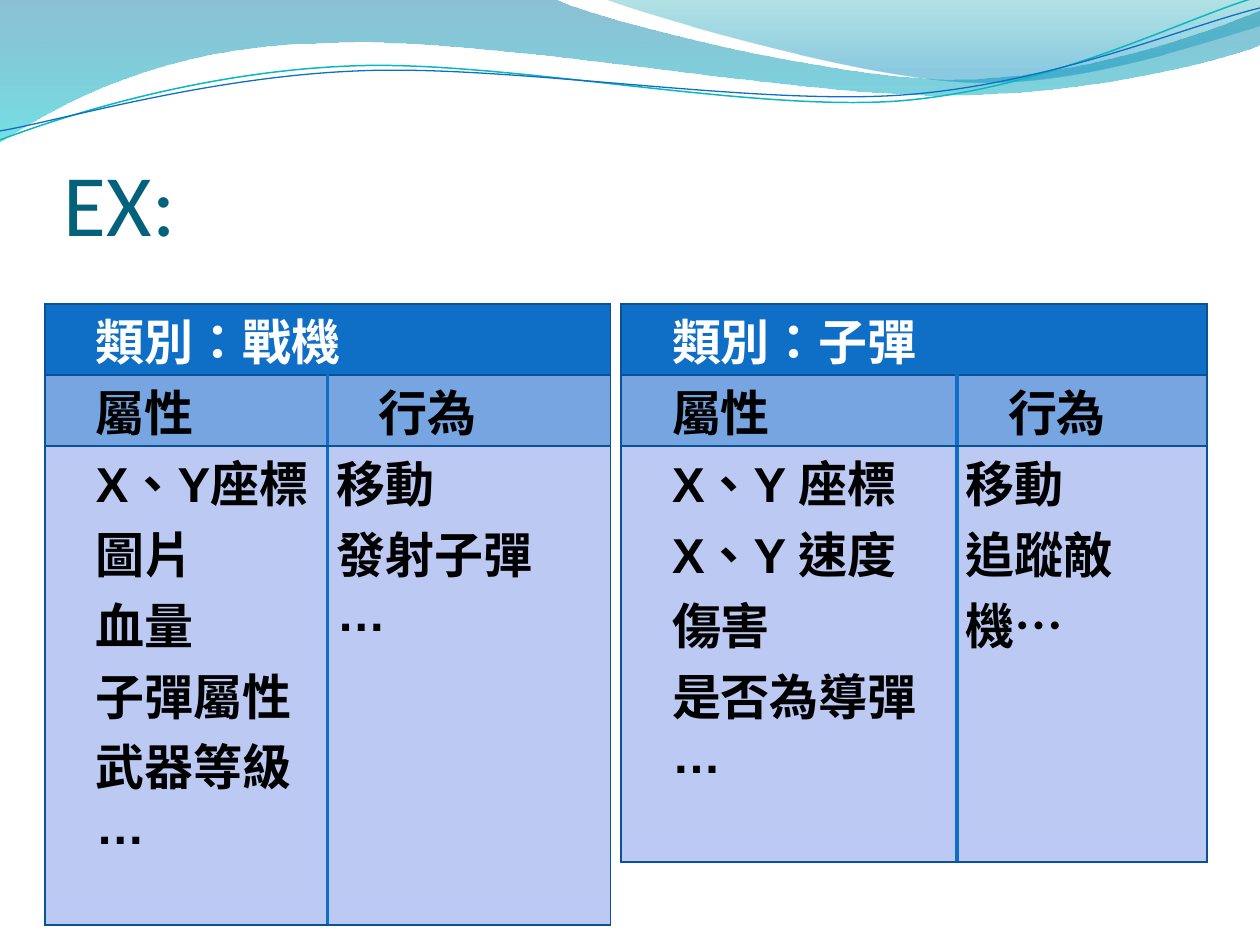
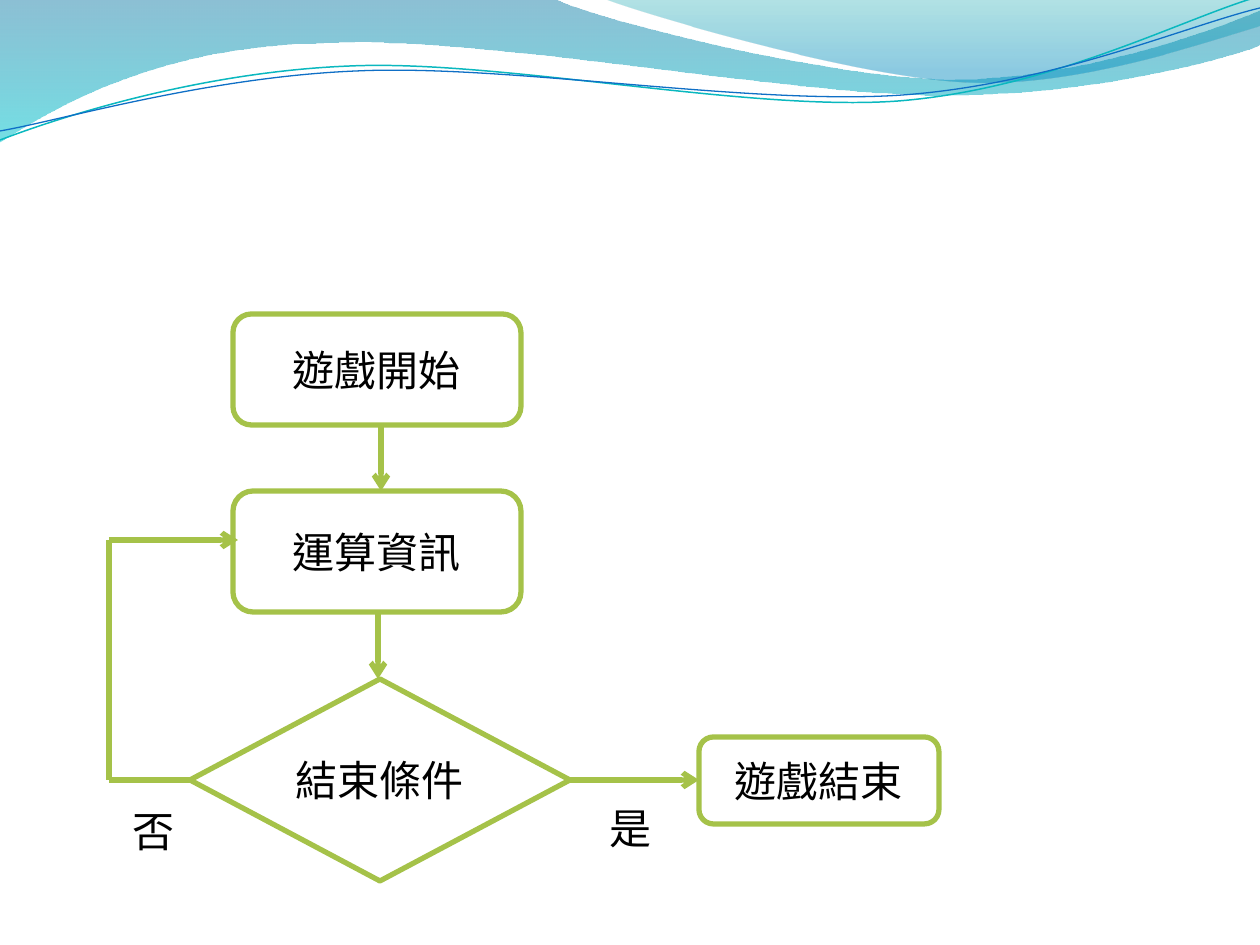
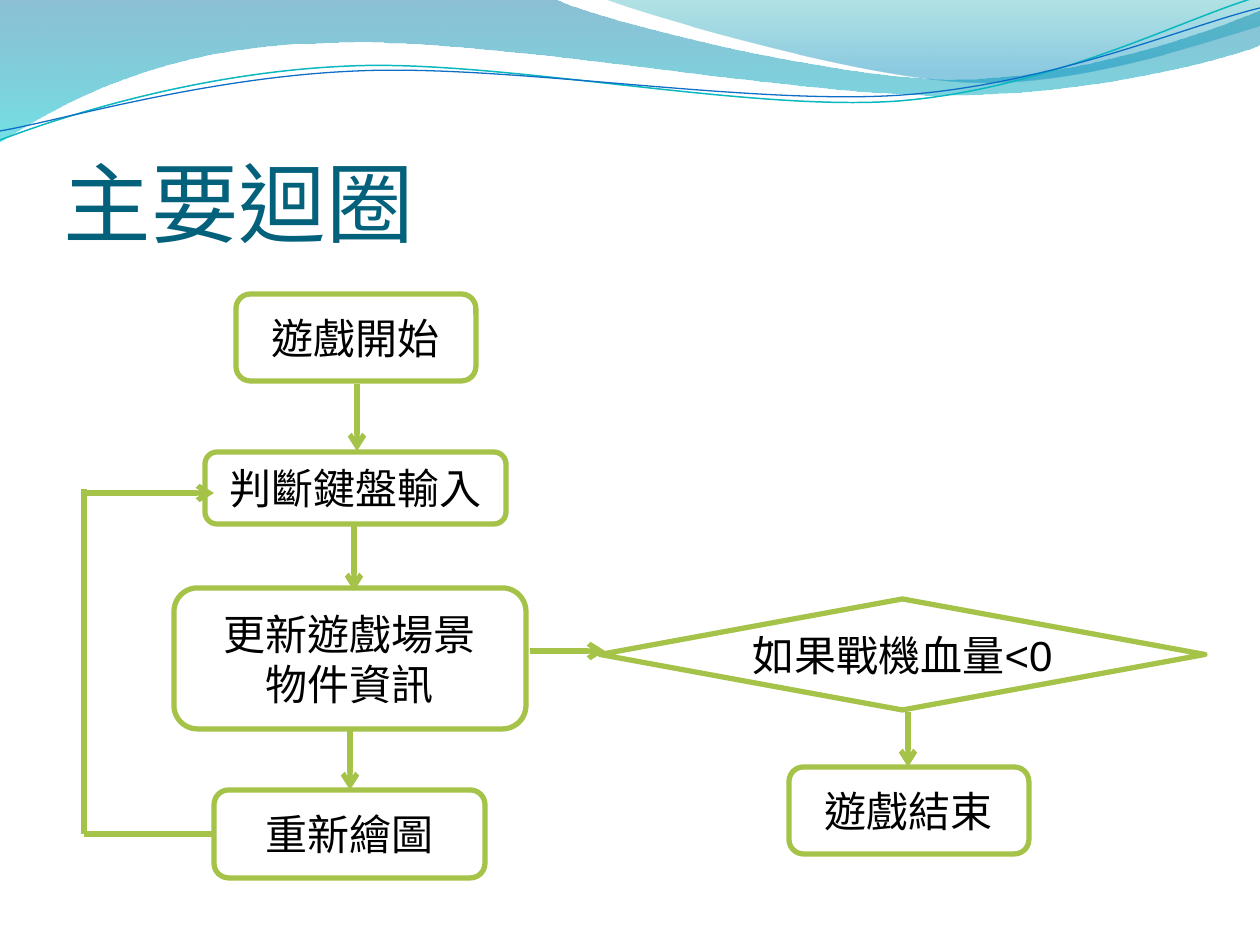
import pptx
import pptx.dml.color
import pptx.enum.dml
import pptx.enum.lang
import pptx.enum.shapes
import pptx.enum.text
import pptx.oxml
import pptx.oxml.ns
import pptx.util

WHITE, BLACK, TITLE = "FFFFFF", "000000", "04617B"
BLUE, BORDER, SUBHEAD, BODY = "0F6FC6", "095295", "76A5E1", "BBC9F3"
GREEN = "A5C249"
NS = pptx.oxml.ns.nsdecls("a")
qn = pptx.oxml.ns.qn
rgb = pptx.dml.color.RGBColor.from_string
SHAPE = pptx.enum.shapes.MSO_SHAPE
ALIGN = pptx.enum.text.PP_ALIGN
ANCHOR = pptx.enum.text.MSO_ANCHOR


def px(n):
    """Convert pixels, 126 to the inch, to EMU."""
    return round(n * 914400 / 126)


def format_text(tf, size, color, font="Arial", bold=False, align=ALIGN.LEFT):
    tf.word_wrap = True
    for p in tf.paragraphs:
        p.alignment = align
        for r in p.runs:
            r.font.size = pptx.util.Pt(size)
            r.font.name = font
            r.font.bold = bold
            r.font.color.rgb = rgb(color)
            r.font.language_id = pptx.enum.lang.MSO_LANGUAGE_ID.TRADITIONAL_CHINESE


prs = pptx.Presentation()
prs.slide_width, prs.slide_height = px(1260), px(945)
layout = prs.slide_layouts[6]
for ph in list(layout.placeholders):
    ph.element.getparent().remove(ph.element)
slides = [prs.slides.add_slide(layout) for _ in range(3)]

# Header waves: start point, then lines (2 numbers) and Bezier curves (6 numbers)
waves = [
    ([(0, 0), (554, -1), (600, 21, 837, 79, 955, 79), (1075, 79, 1207, 33, 1260, 11),
      (1261, 45), (1239, 55, 1096, 96, 940, 95), (784, 95, 481, 35, 324, 43),
      (163, 45, 58, 105, -1, 142)],
     [(0, "0074A1", 45), (1, "00C6CF", 55)], None),
    ([(604, -1), (641, 14, 859, 78, 969, 82), (1079, 87, 1211, 40, 1260, 26), (1260, 0)],
     [(0, "00A1A9", 30), (0.8, "008BBF", 45)], None),
    ([(0, 140), (60, 117, 199, 72, 349, 66), (498, 59, 747, 112, 898, 101),
      (1050, 89, 1182, 19, 1257, -3)], None, ("0AB8BF", 0.85)),
    ([(0, 131), (59, 121, 207, 77, 357, 71), (508, 64, 752, 106, 903, 95),
      (1053, 84, 1186, 26, 1260, 8)], None, (BLUE, 0.75)),
]
wave_shapes = []
for segments, gradient, stroke in waves:
    points = [(px(x), px(y)) for seg in segments for x, y in zip(seg[::2], seg[1::2])]
    fb = slides[0].shapes.build_freeform(*points[0])
    fb.add_line_segments(points[1:], close=gradient is not None)
    sp = fb.convert_to_shape()
    sp.shadow.inherit = False
    # Join the three points of each curve into one Bezier segment
    steps = iter(list(sp.element.iter(qn("a:lnTo"))))
    for seg in segments[1:]:
        group = [next(steps) for _ in range(len(seg) // 2)]
        if len(group) == 3:
            curve = pptx.oxml.parse_xml(f"<a:cubicBezTo {NS}/>")
            group[0].addprevious(curve)
            for step in group:
                curve.append(step[0])
                step.getparent().remove(step)
    if gradient:
        sp.fill.gradient()
        sp.fill.gradient_angle = 270
        for stop, (position, color, _) in zip(sp.fill.gradient_stops, gradient):
            stop.position = position
            stop.color.rgb = rgb(color)
        for clr, (_, _, opacity) in zip(sp.element.iter(qn("a:srgbClr")), gradient):
            clr.append(pptx.oxml.parse_xml(f'<a:alpha {NS} val="{opacity * 1000}"/>'))
        sp.line.fill.background()
    else:
        sp.fill.background()
        sp.line.color.rgb = rgb(stroke[0])
        sp.line.width = pptx.util.Pt(stroke[1])
    wave_shapes.append(sp)
for sp in wave_shapes:
    layout.shapes.element.append(sp.element)

# Titles
for s, title in ((slides[0], "EX:"), (slides[2], "主要迴圈")):
    tf = s.shapes.add_textbox(px(64), px(97), px(1134), px(157)).text_frame
    tf.text = title
    tf.margin_left = tf.margin_right = tf.margin_bottom = 0
    tf.vertical_anchor = ANCHOR.BOTTOM
    format_text(tf, 50, TITLE, "Calibri")

# Class tables
classes = [
    (45, (283, 283), (71, 71, 479), "類別：戰機",
     "X、Y座標\n圖片\n血量\n子彈屬性\n武器等級\n…", "移動\n發射子彈\n…"),
    (621, (336, 250), (71, 71, 416), "類別：子彈",
     "X、Y 座標\nX、Y 速度\n傷害\n是否為導彈\n…", "移動\n追蹤敵機…"),
]
row_styles = ((BLUE, WHITE), (SUBHEAD, BLACK), (BODY, BLACK))
for left, widths, heights, name, attributes, behaviours in classes:
    gf = slides[0].shapes.add_table(3, 2, px(left), px(304), px(sum(widths)),
                                    px(sum(heights)))
    table = gf.table
    table.first_row = table.horz_banding = False
    for column, width in zip(table.columns, widths):
        column.width = px(width)
    for row, height in zip(table.rows, heights):
        row.height = px(height)
    table.cell(0, 0).merge(table.cell(0, 1))
    texts = (name, ""), ("屬性", "行為"), (attributes, behaviours)
    for row, row_texts, (fill, color) in zip(table.rows, texts, row_styles):
        for cell, text in zip(row.cells, row_texts):
            cell.text = text
            cell.margin_left = cell.margin_right = px(9)
            cell.margin_top = cell.margin_bottom = 0
            cell.fill.solid()
            cell.fill.fore_color.rgb = rgb(fill)
            format_text(cell.text_frame, 28, color, bold=True)
    for i, tc in enumerate(gf.element.iter(qn("a:tc"))):
        if i < 5:
            for p in tc.iter(qn("a:p")):
                p.get_or_add_pPr().set("marL", str(px(42)))
        divider = None if i < 2 else ("R", "L")[i % 2]
        for k, side in enumerate("LRTB"):
            color, width = (BLUE, 2) if side == divider else (BORDER, 0.75)
            tc.find(qn("a:tcPr")).insert(k, pptx.oxml.parse_xml(
                f'<a:ln{side} {NS} w="{pptx.util.Pt(width)}"><a:solidFill>'
                f'<a:srgbClr val="{color}"/></a:solidFill></a:ln{side}>'))

# Flowcharts: boxes, then lines as x1, y1, x2, y2, has arrowhead
BOX, DECISION = SHAPE.ROUNDED_RECTANGLE, SHAPE.FLOWCHART_DECISION
flowcharts = [
    (slides[1],
     [(BOX, "遊戲開始", 233, 314, 288, 111),
      (BOX, "遊戲結束", 699, 737, 240, 87),
      (DECISION, "結束條件", 190, 679, 380, 202),
      (BOX, "運算資訊", 233, 491, 288, 121)],
     [(381, 423, 381, 491, True), (378, 612, 378, 679, True),
      (109, 540, 109, 780, False), (190, 780, 109, 780, False),
      (109, 540, 238, 540, True), (570, 780, 699, 780, True)]),
    (slides[2],
     [(BOX, "判斷鍵盤輸入", 205, 452, 301, 72),
      (DECISION, "如果戰機血量<0", 600, 599, 605, 111),
      (BOX, "遊戲結束", 789, 767, 240, 87),
      (BOX, "遊戲開始", 236, 294, 240, 87),
      (BOX, "更新遊戲場景\n物件資訊", 174, 588, 352, 141),
      (BOX, "重新繪圖", 214, 790, 271, 88)],
     [(357, 384, 357, 451, True), (84, 489, 84, 834, False),
      (214, 834, 84, 834, False), (84, 493, 214, 493, True),
      (354, 524, 354, 591, True), (350, 730, 350, 790, True),
      (530, 651, 605, 651, True), (908, 712, 908, 767, True)]),
]
for s, boxes, lines in flowcharts:
    for kind, text, *frame in boxes:
        sp = s.shapes.add_shape(kind, *map(px, frame))
        sp.shadow.inherit = False
        sp.fill.solid()
        sp.fill.fore_color.rgb = rgb(WHITE)
        sp.line.color.rgb = rgb(GREEN)
        sp.line.width = pptx.util.Pt(3)
        tf = sp.text_frame
        tf.text = text
        tf.vertical_anchor = ANCHOR.MIDDLE
        if kind == DECISION:
            tf.margin_left = tf.margin_right = tf.margin_top = tf.margin_bottom = 0
        format_text(tf, 24, BLACK, align=ALIGN.CENTER)
    for *ends, has_arrowhead in lines:
        cn = s.shapes.add_connector(pptx.enum.shapes.MSO_CONNECTOR.STRAIGHT, *map(px, ends))
        cn.line.color.rgb = rgb(GREEN)
        cn.line.width = pptx.util.Pt(3)
        sp_pr = cn.element.spPr
        if has_arrowhead:
            sp_pr.find(qn("a:ln")).append(
                pptx.oxml.parse_xml(f'<a:tailEnd {NS} type="arrow"/>'))
        sp_pr.append(pptx.oxml.parse_xml(f"<a:effectLst {NS}/>"))

# Branch labels
for text, *frame in (("是", 597, 796, 74, 63), ("否", 120, 799, 59, 63)):
    tf = slides[1].shapes.add_textbox(*map(px, frame)).text_frame
    tf.text = text
    format_text(tf, 24, BLACK)

prs.save("out.pptx")
